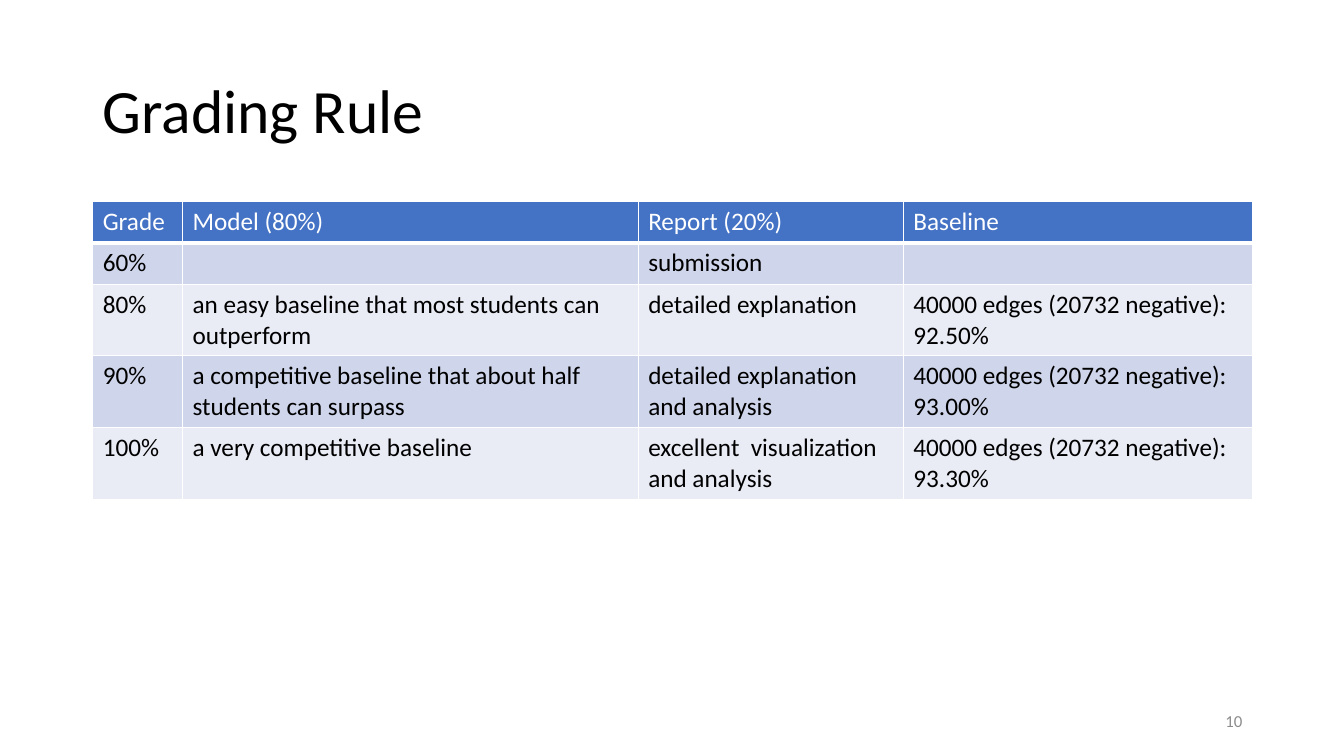
from lxml import etree
from pptx import Presentation, util as u
from pptx.dml.color import RGBColor
from pptx.enum import text
from pptx.oxml.ns import qn

Inches = u.Inches


def color(hex_code):
    return RGBColor.from_string(hex_code)


class GradingSlide:
    FONT = "Calibri"
    BLACK, WHITE, GREY = "000000", "FFFFFF", "8C8C8C"
    HEADER, BANDS = "4472C4", ("CFD5EA", "E9EBF5")

    def __init__(self, deck):
        self.slide = deck.slides.add_slide(deck.slide_layouts[6])

    def add_run(self, paragraph, words, size, hex_code):
        run = paragraph.add_run()
        run.text = words
        run.font.name = self.FONT
        run.font.size = u.Pt(size)
        run.font.bold = False
        run.font.color.rgb = color(hex_code)

    def add_text(self, words, left, top, width, height, size, hex_code,
                 align=text.PP_ALIGN.LEFT, spacing=1.0):
        box = self.slide.shapes.add_textbox(
            Inches(left), Inches(top), Inches(width), Inches(height))
        frame = box.text_frame
        frame.word_wrap = True
        frame.vertical_anchor = text.MSO_ANCHOR.MIDDLE
        paragraph = frame.paragraphs[0]
        paragraph.alignment = align
        paragraph.line_spacing = spacing
        self.add_run(paragraph, words, size, hex_code)

    def add_border(self, cell, side, points):
        line = etree.SubElement(cell._tc.get_or_add_tcPr(), qn("a:ln" + side),
                                w=str(u.Pt(points)))
        fill = etree.SubElement(line, qn("a:solidFill"))
        etree.SubElement(fill, qn("a:srgbClr"), val=self.WHITE)

    def fill_cell(self, cell, words, is_header, band):
        for side in "LRTB":
            self.add_border(cell, side, 3 if is_header and side == "B" else 1)
        cell.fill.solid()
        cell.fill.fore_color.rgb = color(self.HEADER if is_header else band)
        frame = cell.text_frame
        for index, part in enumerate(words.split("\n") if words else []):
            paragraph = frame.add_paragraph() if index else frame.paragraphs[0]
            self.add_run(paragraph, part, 18,
                         self.WHITE if is_header else self.BLACK)

    def add_table(self, rows, left, top, column_widths, row_heights):
        table = self.slide.shapes.add_table(
            len(rows), len(column_widths), Inches(left), Inches(top),
            Inches(sum(column_widths)), Inches(sum(row_heights))).table
        table.horz_banding = False
        for column, width in zip(table.columns, column_widths):
            column.width = Inches(width)
        for r, (row, height) in enumerate(zip(rows, row_heights)):
            table.rows[r].height = Inches(height)
            for c, words in enumerate(row):
                self.fill_cell(table.cell(r, c), words, r == 0,
                               self.BANDS[(r - 1) % 2])


deck = Presentation()
deck.slide_width, deck.slide_height = Inches(13.33), Inches(7.5)
grading = GradingSlide(deck)

# Grading table
edges = "40000 edges (20732 negative):"
grades = [
    ("Grade", "Model (80%)", "Report (20%)", "Baseline"),
    ("60%", "", "submission", ""),
    ("80%", "an easy baseline that most students can outperform",
     "detailed explanation", edges + " 92.50%"),
    ("90%", "a competitive baseline that about half students can surpass",
     "detailed explanation and analysis", edges + "\n93.00%"),
    ("100%", "a very competitive baseline",
     "excellent  visualization and analysis", edges + " 93.30%"),
]
grading.add_table(grades, 0.92, 2, (0.89, 4.52, 2.63, 3.46),
                  [0.41] * 2 + [0.7] * 3)

# Title
grading.add_text("Grading Rule", 0.92, 0.4, 11.5, 1.45, 44, grading.BLACK,
                 spacing=0.9)

# Slide number
grading.add_text("10", 9.42, 6.95, 3, 0.4, 12, grading.GREY,
                 align=text.PP_ALIGN.RIGHT)

deck.save("out.pptx")
